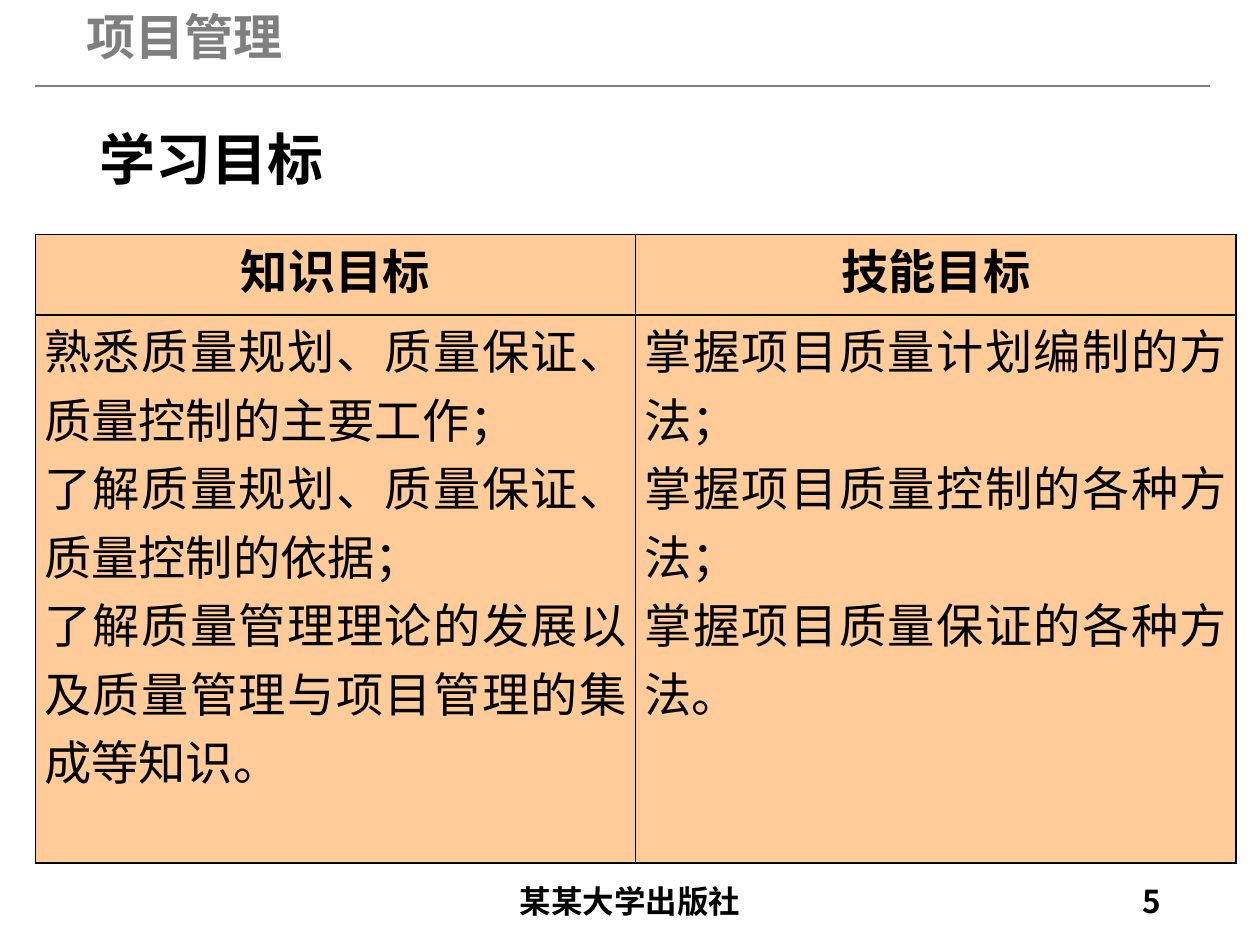
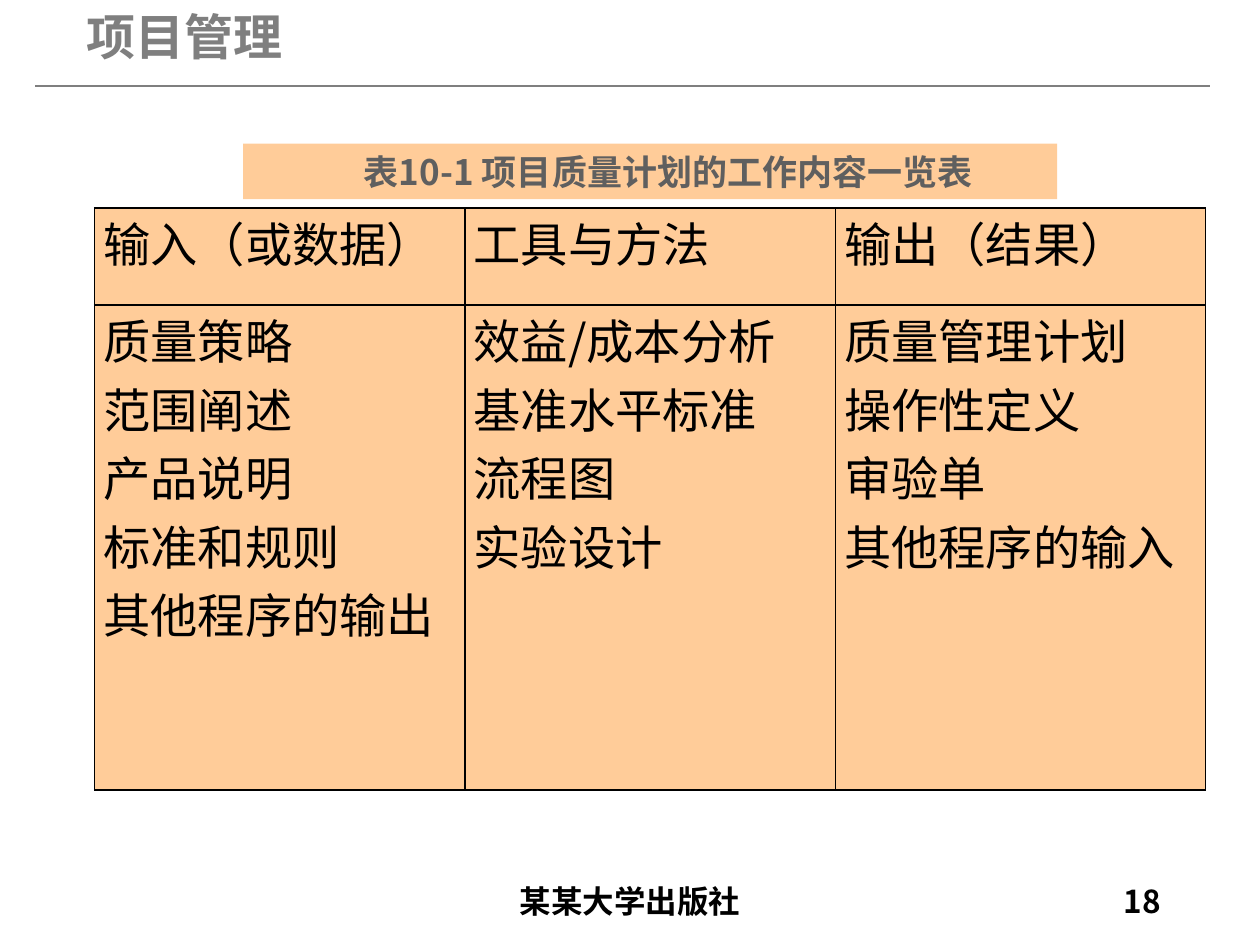
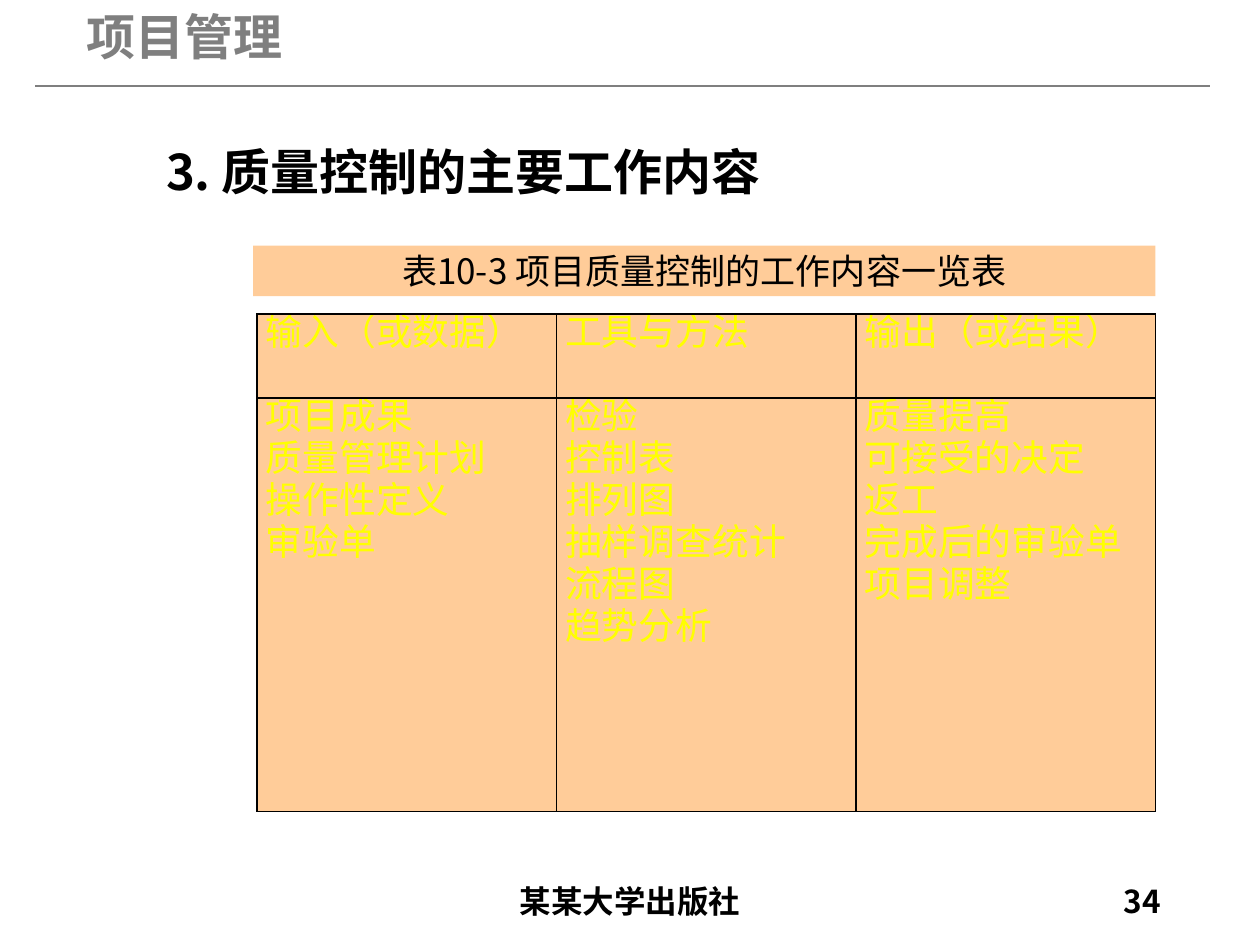
from lxml import etree
from pptx import Presentation
from pptx import util as u
from pptx.dml import color
from pptx.enum import shapes, text
from pptx.oxml import ns

FONT = "Noto Sans CJK SC"
BLACK, GRAY, DARK_GRAY = "000000", "7F7F7F", "5F5F5F"
PEACH, YELLOW = "FFCC99", "FFFF00"
LEFT, CENTER = text.PP_ALIGN.LEFT, text.PP_ALIGN.CENTER
RIGHT, JUSTIFY = text.PP_ALIGN.RIGHT, text.PP_ALIGN.JUSTIFY
TOP, MIDDLE = text.MSO_ANCHOR.TOP, text.MSO_ANCHOR.MIDDLE


def rgb(value):
    return color.RGBColor.from_string(value)


def inches(box):
    return [u.Inches(length) for length in box]


def style_text(text_frame, size, bold=False, ink=BLACK, align=LEFT, spacing=None):
    for paragraph in text_frame.paragraphs:
        paragraph.alignment = align
        if spacing:
            paragraph.line_spacing = spacing
        for run in paragraph.runs:
            run.font.name = FONT
            run.font.size = u.Pt(size)
            run.font.bold = bold
            run.font.color.rgb = rgb(ink)
            east_asian = etree.SubElement(run.font._element, ns.qn("a:ea"))
            east_asian.set("typeface", FONT)


def add_text(slide, box, words, size, anchor=MIDDLE, wrap=True, **style):
    text_frame = slide.shapes.add_textbox(*inches(box)).text_frame
    text_frame.word_wrap = wrap
    text_frame.vertical_anchor = anchor
    text_frame.text = words
    style_text(text_frame, size, **style)


def add_frame(presentation, page):
    slide = presentation.slides.add_slide(presentation.slide_layouts[6])
    rule = slide.shapes.add_connector(
        shapes.MSO_CONNECTOR.STRAIGHT, *inches((0.28, 0.68, 9.6, 0.68)))
    rule.line.color.rgb = rgb(GRAY)
    rule.line.width = u.Pt(1)
    etree.SubElement(rule._element.spPr, ns.qn("a:effectLst"))
    add_text(slide, (0.59, 0, 1.77, 0.57), "项目管理", 28,
             anchor=TOP, wrap=False, bold=True, ink=GRAY)
    add_text(slide, (3.31, 6.95, 3.38, 0.4), "某某大学出版社", 18, bold=True, align=CENTER)
    add_text(slide, (7.06, 6.95, 2.25, 0.4), str(page), 18, bold=True, align=RIGHT)
    return slide


def add_caption(slide, box, words, indent=0, **style):
    shape = slide.shapes.add_shape(shapes.MSO_SHAPE.RECTANGLE, *inches(box))
    shape.shadow.inherit = False
    shape.fill.solid()
    shape.fill.fore_color.rgb = rgb(PEACH)
    shape.line.fill.background()
    text_frame = shape.text_frame
    text_frame.margin_top = text_frame.margin_bottom = 0
    text_frame.vertical_anchor = MIDDLE
    text_frame.text = words
    style_text(text_frame, 20, align=CENTER, **style)
    properties = text_frame.paragraphs[0]._p.get_or_add_pPr()
    properties.set("indent", str(u.Inches(indent)))


def border_cell(cell):
    properties = cell._tc.get_or_add_tcPr()
    for side in ("lnL", "lnR", "lnT", "lnB"):
        line = etree.SubElement(properties, ns.qn("a:" + side), w=str(u.Pt(1)))
        fill = etree.SubElement(line, ns.qn("a:solidFill"))
        etree.SubElement(fill, ns.qn("a:srgbClr"), val=BLACK)


def add_goal_table(slide, left, top, width, heights, columns, header_style, body_style):
    box = inches((left, top, width, sum(heights)))
    table = slide.shapes.add_table(2, len(columns), *box).table
    table.first_row = table.horz_banding = False
    for row, height in zip(table.rows, heights):
        row.height = u.Inches(height)
    for index, (heading, items) in enumerate(columns):
        table.columns[index].width = u.Inches(width / len(columns))
        contents = ((heading, header_style), ("\n".join(items), body_style))
        for row_index, (words, style) in enumerate(contents):
            cell = table.cell(row_index, index)
            border_cell(cell)
            cell.fill.solid()
            cell.fill.fore_color.rgb = rgb(PEACH)
            cell.margin_left = cell.margin_right = u.Inches(0.07)
            cell.margin_top = cell.margin_bottom = 0
            cell.text_frame.text = words
            style_text(cell.text_frame, **style)


def build_goals(presentation):
    slide = add_frame(presentation, 5)
    add_text(slide, (0.69, 0.82, 8.62, 0.93), "学习目标", 32, bold=True, spacing=0.9)
    columns = [
        ("知识目标", ["熟悉质量规划、质量保证、质量控制的主要工作；",
                  "了解质量规划、质量保证、质量控制的依据；",
                  "了解质量管理理论的发展以及质量管理与项目管理的集成等知识。"]),
        ("技能目标", ["掌握项目质量计划编制的方法；",
                  "掌握项目质量控制的各种方法；",
                  "掌握项目质量保证的各种方法。"]),
    ]
    add_goal_table(slide, 0.28, 1.86, 9.53, (0.64, 4.35), columns,
                   dict(size=27, bold=True, align=CENTER),
                   dict(size=27, align=JUSTIFY))


def build_planning(presentation):
    slide = add_frame(presentation, 18)
    columns = [
        ("输入（或数据）", ["质量策略", "范围阐述", "产品说明", "标准和规则", "其他程序的输出"]),
        ("工具与方法", ["效益/成本分析", "基准水平标准", "流程图", "实验设计"]),
        ("输出（结果）", ["质量管理计划", "操作性定义", "审验单", "其他程序的输入"]),
    ]
    style = dict(size=27, align=JUSTIFY)
    add_goal_table(slide, 0.75, 1.65, 8.82, (0.77, 3.85), columns, style, style)
    add_caption(slide, (1.93, 1.14, 6.46, 0.44), "表10-1 项目质量计划的工作内容一览表",
                indent=0.29, bold=True, ink=DARK_GRAY)


def build_control(presentation):
    slide = add_frame(presentation, 34)
    add_text(slide, (1.22, 1.13, 7.4, 0.84), "3. 质量控制的主要工作内容", 28,
             anchor=TOP, bold=True, spacing=0.9)
    add_caption(slide, (2.01, 1.95, 7.16, 0.4), "表10-3 项目质量控制的工作内容一览表")
    columns = [
        ("输入（或数据）", ["项目成果", "质量管理计划", "操作性定义", "审验单"]),
        ("工具与方法", ["检验", "控制表", "排列图", "抽样调查统计", "流程图", "趋势分析"]),
        ("输出（或结果）", ["质量提高", "可接受的决定", "返工", "完成后的审验单", "项目调整"]),
    ]
    style = dict(size=21, ink=YELLOW, spacing=u.Pt(24))
    add_goal_table(slide, 2.04, 2.49, 7.13, (0.67, 3.28), columns, style, style)


def main():
    presentation = Presentation()
    presentation.slide_width = u.Inches(10)
    presentation.slide_height = u.Inches(7.5)
    build_goals(presentation)
    build_planning(presentation)
    build_control(presentation)
    presentation.save("out.pptx")


if __name__ == "__main__":
    main()
